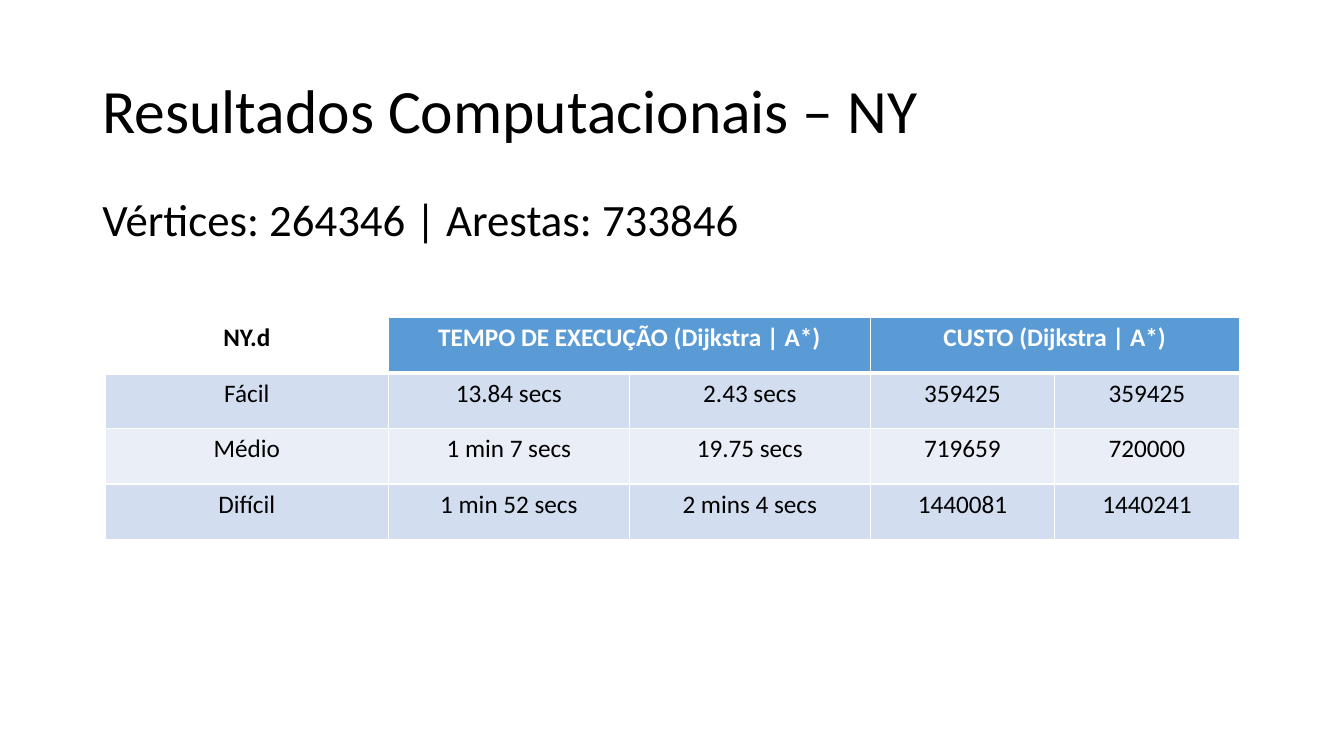
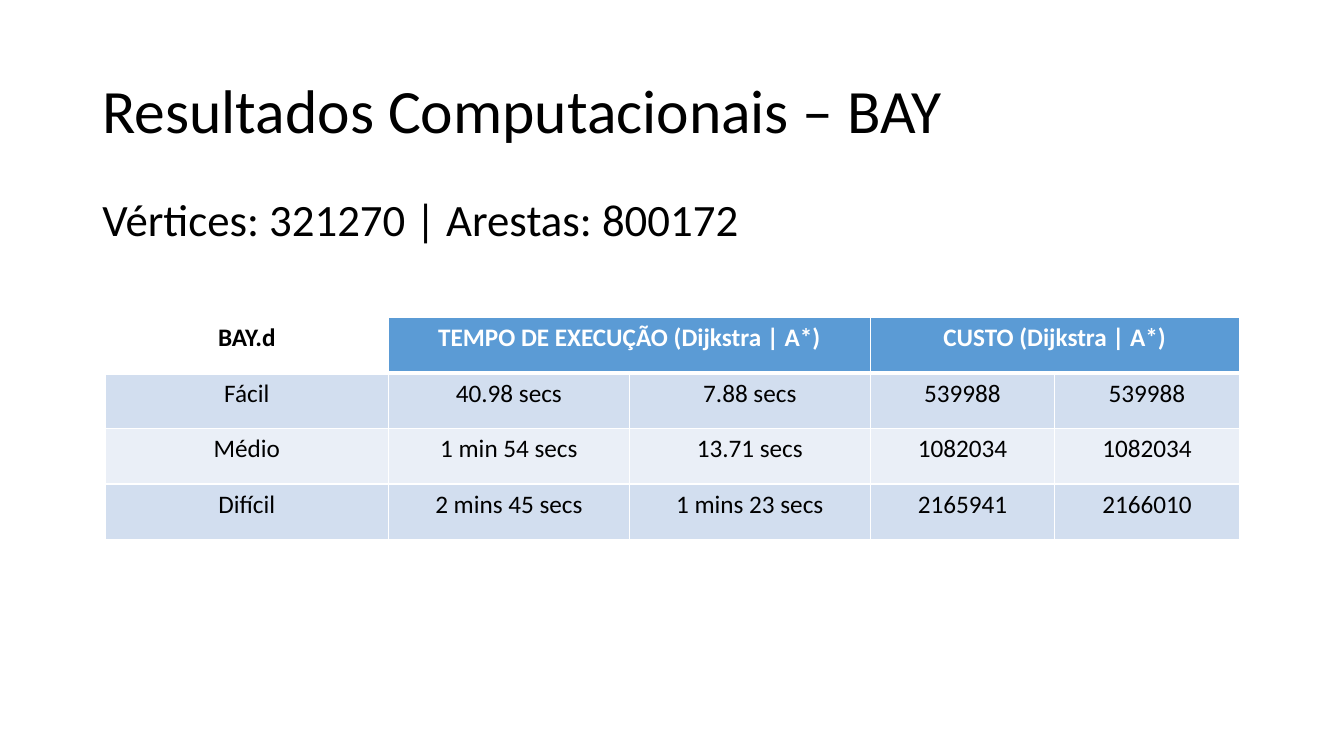
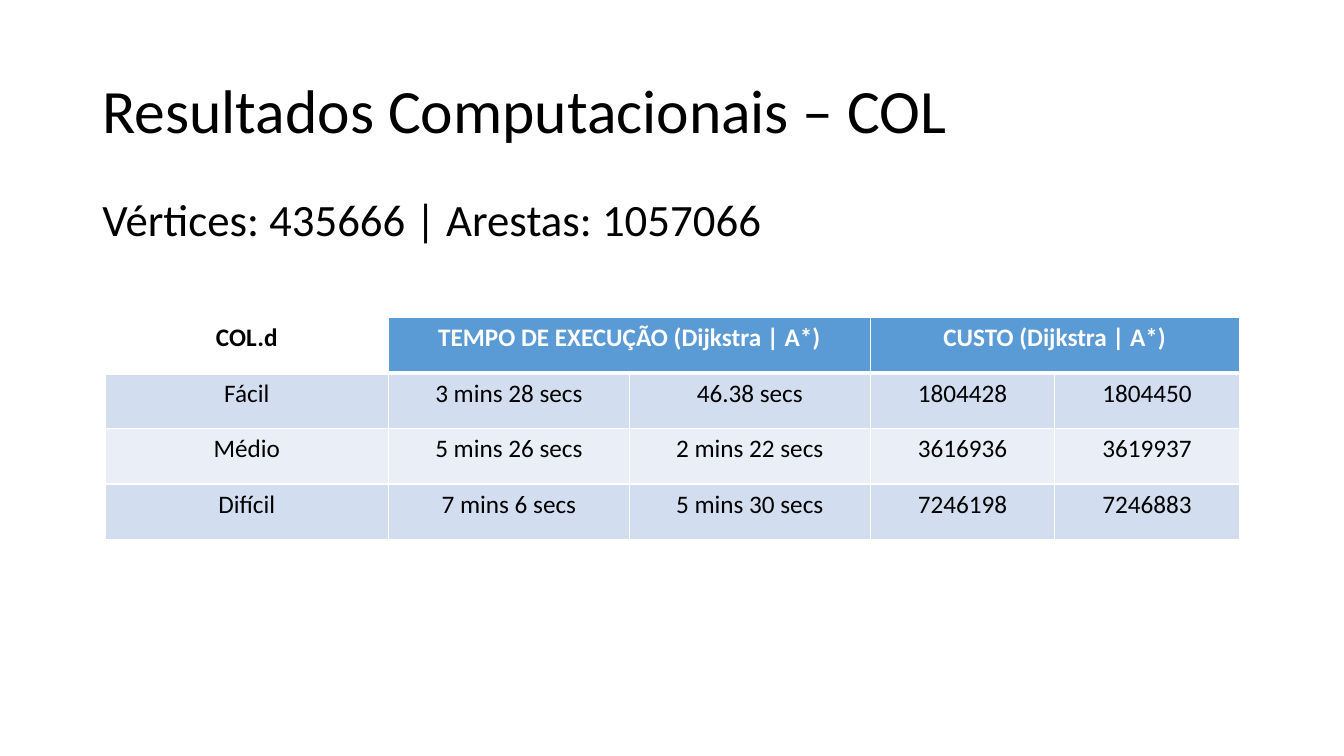
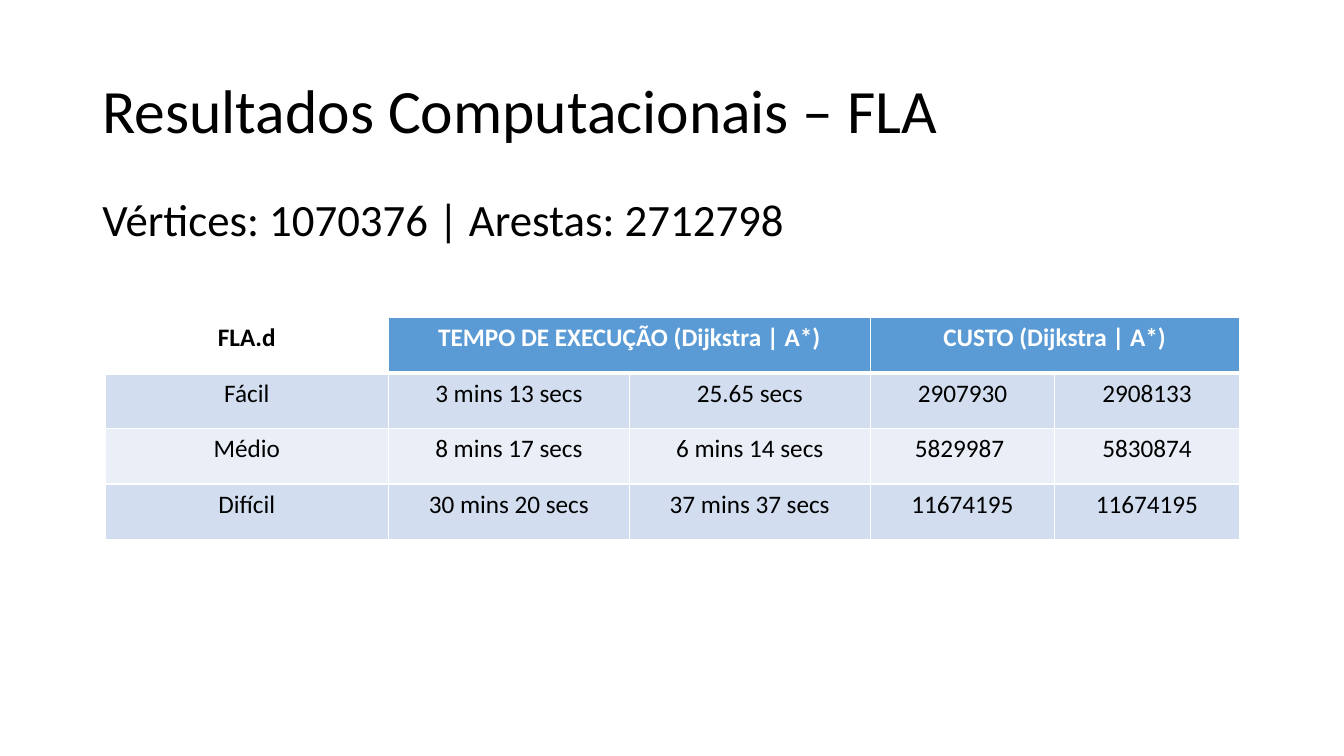
from dataclasses import dataclass

from lxml.etree import SubElement
from pptx import Presentation
from pptx.dml.color import RGBColor
from pptx.enum.text import MSO_ANCHOR as Anchor, PP_ALIGN as Align
from pptx.oxml.ns import qn
from pptx.util import Cm, Pt


@dataclass(frozen=True)
class Theme:
    font: str = "Calibri"
    ink: str = "000000"
    paper: str = "FFFFFF"
    header: str = "5B9BD5"
    bands: tuple = ("D2DEEF", "EAEFF7")
    title_size: int = 44
    subtitle_size: int = 32
    table_size: int = 18
    rule: int = 1
    header_rule: int = 3


COLUMN_WIDTHS = (7.14, 6.07, 6.07, 4.65, 4.65)
ROW_HEIGHT = 1.4
LEVELS = ("Fácil", "Médio", "Difícil")

RESULTS = (
    ("NY", 264346, 733846, 16.69, (
        ("13.84 secs", "2.43 secs", "359425", "359425"),
        ("1 min 7 secs", "19.75 secs", "719659", "720000"),
        ("1 min 52 secs", "2 mins 4 secs", "1440081", "1440241"),
    )),
    ("BAY", 321270, 800172, 16.69, (
        ("40.98 secs", "7.88 secs", "539988", "539988"),
        ("1 min 54 secs", "13.71 secs", "1082034", "1082034"),
        ("2 mins 45 secs", "1 mins 23 secs", "2165941", "2166010"),
    )),
    ("COL", 435666, 1057066, 17.32, (
        ("3 mins 28 secs", "46.38 secs", "1804428", "1804450"),
        ("5 mins 26 secs", "2 mins 22 secs", "3616936", "3619937"),
        ("7 mins 6 secs", "5 mins 30 secs", "7246198", "7246883"),
    )),
    ("FLA", 1070376, 2712798, 18.16, (
        ("3 mins 13 secs", "25.65 secs", "2907930", "2908133"),
        ("8 mins 17 secs", "6 mins 14 secs", "5829987 ", "5830874"),
        ("30 mins 20 secs", "37 mins 37 secs", "11674195", "11674195"),
    )),
)


class SlideBuilder:
    def __init__(self, deck, theme):
        self.deck = deck
        self.theme = theme
        self.page = None

    def new_page(self):
        self.page = self.deck.slides.add_slide(self.deck.slide_layouts[6])

    def set_text(self, para, text, size, color, bold=False):
        para.text = text
        para.font.name = self.theme.font
        para.font.size = Pt(size)
        para.font.bold = bold
        para.font.color.rgb = RGBColor.from_string(color)

    def text(self, content, left, top, width, height, size):
        box = self.page.shapes.add_textbox(Cm(left), Cm(top), Cm(width), Cm(height))
        box.text_frame.word_wrap = True
        para = box.text_frame.paragraphs[0]
        self.set_text(para, content, size, self.theme.ink)
        return box.text_frame

    def title(self, content):
        frame = self.text(content, 2.33, 1.01, 29.21, 3.68, self.theme.title_size)
        frame.vertical_anchor = Anchor.MIDDLE
        frame.paragraphs[0].line_spacing = 0.9

    def subtitle(self, content, width):
        self.text(content, 2.33, 4.7, width, 1.62, self.theme.subtitle_size)

    def borders(self, cell, top, bottom):
        rule = self.theme.rule
        properties = cell._tc.get_or_add_tcPr()
        for side, width in zip("LRTB", (rule, rule, top, bottom)):
            line = SubElement(properties, qn(f"a:ln{side}"), w=str(Pt(width)))
            fill = SubElement(line, qn("a:solidFill"))
            SubElement(fill, qn("a:srgbClr"), val=self.theme.paper)

    def cell(self, cell, text, row, column):
        theme = self.theme
        is_header = row == 0
        self.borders(
            cell,
            theme.header_rule if row == 1 else theme.rule,
            theme.header_rule if is_header else theme.rule,
        )
        if is_header and column == 0:
            cell.fill.background()
        else:
            cell.fill.solid()
            fill = theme.header if is_header else theme.bands[(row - 1) % 2]
            cell.fill.fore_color.rgb = RGBColor.from_string(fill)
        color = theme.paper if is_header and column else theme.ink
        para = cell.text_frame.paragraphs[0]
        para.alignment = Align.CENTER
        self.set_text(para, text, theme.table_size, color, bold=is_header)

    def table(self, rows):
        frame = self.page.shapes.add_table(
            len(rows), len(COLUMN_WIDTHS), Cm(2.65), Cm(8),
            Cm(sum(COLUMN_WIDTHS)), Cm(ROW_HEIGHT * len(rows)),
        )
        table = frame.table
        table.first_row = table.horz_banding = False
        for column, width in zip(table.columns, COLUMN_WIDTHS):
            column.width = Cm(width)
        for row, texts in enumerate(rows):
            table.rows[row].height = Cm(ROW_HEIGHT)
            for column, text in enumerate(texts):
                self.cell(table.cell(row, column), text, row, column)
        for column in (1, 3):
            table.cell(0, column).merge(table.cell(0, column + 1))


def main():
    deck = Presentation()
    deck.slide_width, deck.slide_height = Cm(33.87), Cm(19.05)
    builder = SlideBuilder(deck, Theme())
    for name, vertices, edges, width, results in RESULTS:
        builder.new_page()
        builder.title(f"Resultados Computacionais – {name}")
        builder.subtitle(f"Vértices: {vertices} | Arestas: {edges}", width)
        header = (
            f"{name}.d",
            "TEMPO DE EXECUÇÃO (Dijkstra | A*)", "",
            "CUSTO (Dijkstra | A*)", "",
        )
        body = [(level, *values) for level, values in zip(LEVELS, results)]
        builder.table([header, *body])
    deck.save("out.pptx")


if __name__ == "__main__":
    main()
